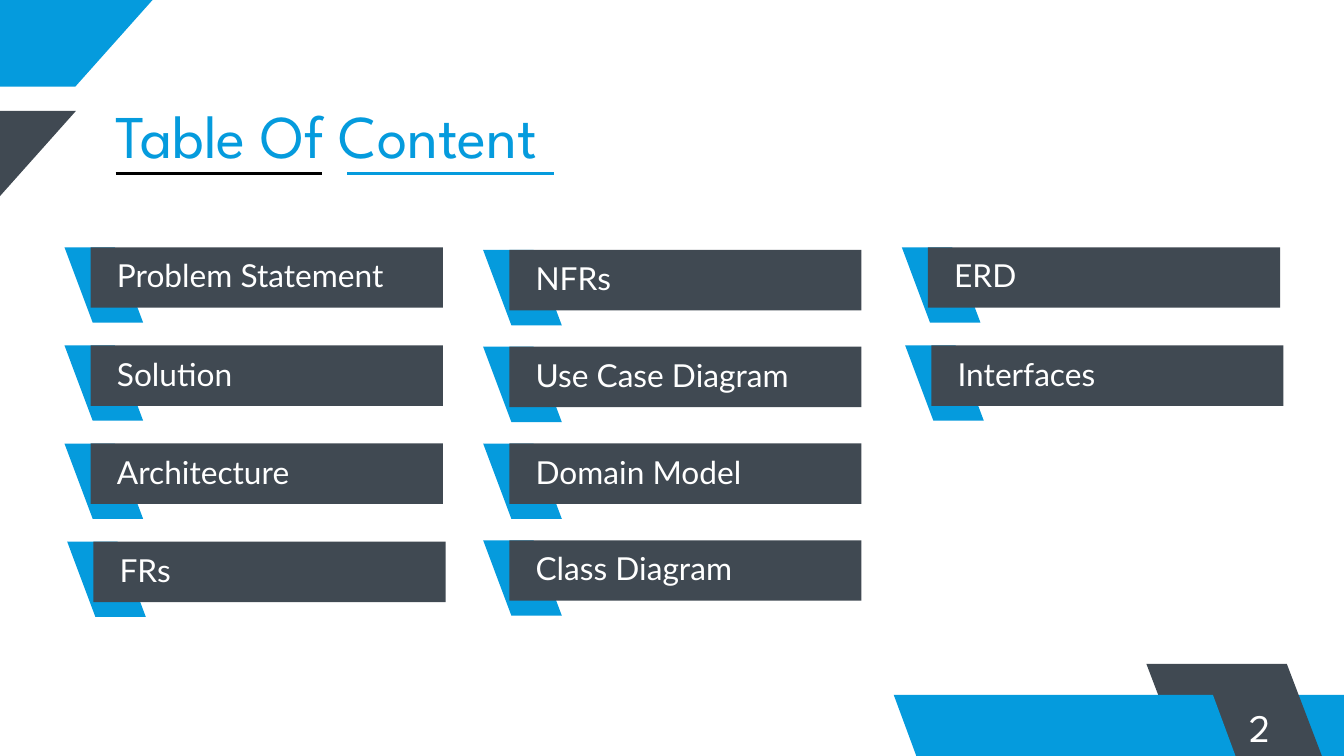
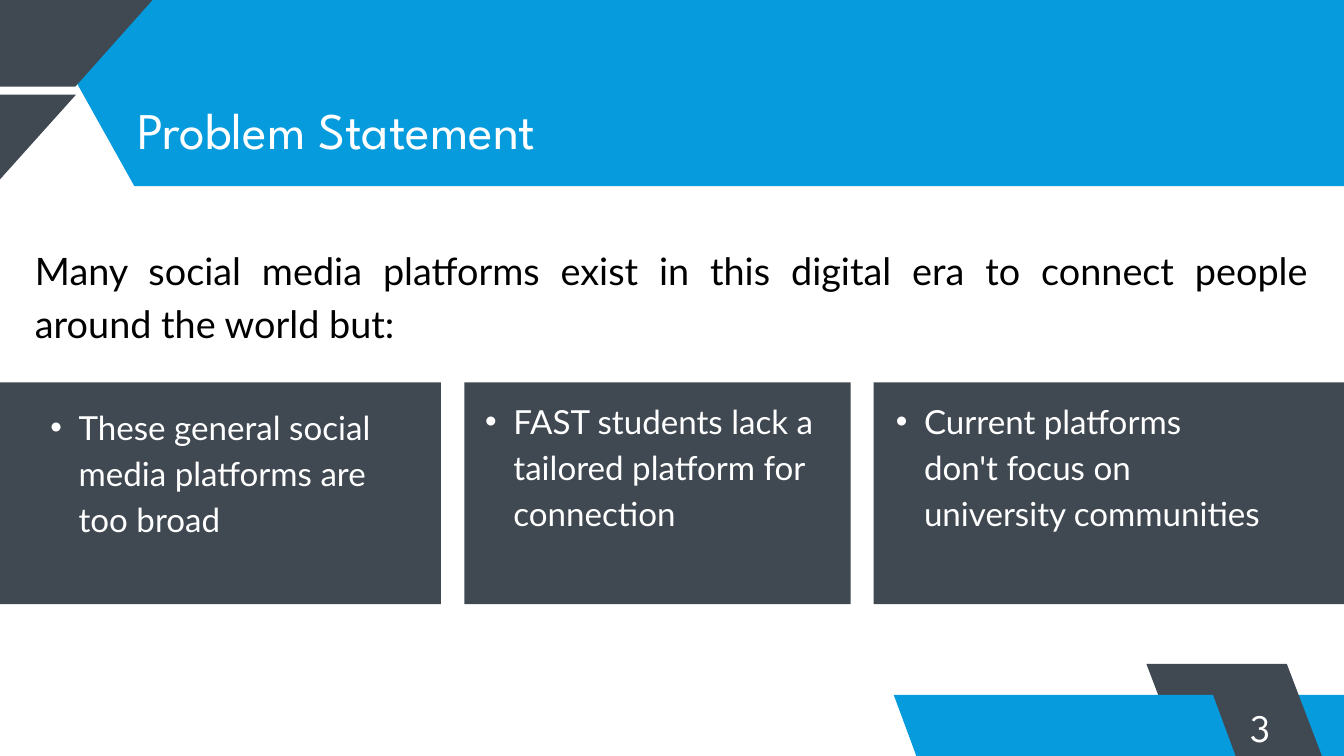
from dataclasses import dataclass

from lxml.etree import SubElement
from pptx import Presentation
from pptx.dml.color import RGBColor
from pptx.enum.shapes import MSO_CONNECTOR as Connector, MSO_SHAPE as Shape
from pptx.enum.text import MSO_AUTO_SIZE as AutoSize, PP_ALIGN as Align
from pptx.oxml.ns import qn
from pptx.util import Inches, Pt


@dataclass(frozen=True)
class Theme:
    blue: str = "059BDD"
    slate: str = "404952"
    white: str = "FFFFFF"
    black: str = "000000"
    heading_font: str = "League Spartan"
    body_font: str = "Lato"
    contents_title: float = 65
    band_title: float = 55
    number: float = 41.7
    lead: float = 40.5
    bullet: float = 35.5
    label: float = 33.9
    rule: float = 3.75
    leading: float = 1.4


THEME = Theme()
COLUMNS, ROWS = 20, 11.25
CELL = Inches(1)

TILE_COLUMNS = [
    (0.96, 3.68, 1.46, ["Problem Statement", "Solution", "Architecture", "FRs"]),
    (7.19, 3.72, 1.44, ["NFRs", "Use Case Diagram", "Domain Model", "Class Diagram"]),
    (13.42, 3.68, 1.46, ["ERD", "Interfaces"]),
]
TILE_NUDGES = {"FRs": 0.04, "Interfaces": 0.05}

PANELS = [
    (-1.49, 8.05, 0.33, 5.96, "These general social media platforms are too broad"),
    (6.91, 5.75, 6.8, 5.87, "FAST students lack a tailored platform for connection"),
    (13, 9.13, 12.91, 5.87, "Current platforms don't focus on university communities"),
]


def grid(*cells):
    return [round(cell * CELL) for cell in cells]


def paint(shape, color):
    shape.shadow.inherit = False
    shape.fill.solid()
    shape.fill.fore_color.rgb = RGBColor.from_string(color)
    shape.line.fill.background()


def add_slant(page, left, top, width, height, lean, color):
    side = width - abs(lean)
    upper = left + max(-lean, 0)
    lower = left + max(lean, 0)
    bottom = top + height
    start, *corners = [
        grid(upper, top),
        grid(upper + side, top),
        grid(lower + side, bottom),
        grid(lower, bottom),
    ]
    outline = page.shapes.build_freeform(*start)
    outline.add_line_segments(corners)
    paint(outline.convert_to_shape(), color)


def add_bar(page, left, top, width, height, color):
    paint(page.shapes.add_shape(Shape.RECTANGLE, *grid(left, top, width, height)), color)


def add_rule(page, left, top, width, color):
    ends = grid(left, top, left + width, top)
    rule = page.shapes.add_connector(Connector.STRAIGHT, *ends)
    rule.line.color.rgb = RGBColor.from_string(color)
    rule.line.width = Pt(THEME.rule)
    SubElement(rule._element.spPr, qn("a:effectLst"))


def add_text(page, left, top, width, height, text, size, color=THEME.white,
             face=THEME.body_font, align=Align.LEFT, bulleted=False):
    box = page.shapes.add_textbox(*grid(left, top, width, height))
    frame = box.text_frame
    frame.margin_left = frame.margin_top = frame.margin_right = frame.margin_bottom = 0
    frame.word_wrap = True
    frame.auto_size = AutoSize.SHAPE_TO_FIT_TEXT
    para = frame.paragraphs[0]
    para.text = text
    para.alignment = align
    para.line_spacing = Pt(round(size * THEME.leading, 1))
    if bulleted:
        add_bullet(para)
    para.font.size = Pt(size)
    para.font.name = face
    para.font.color.rgb = RGBColor.from_string(color)


def add_bullet(para):
    para.level = 1
    settings = para._p.get_or_add_pPr()
    settings.set("marL", str(Inches(0.84)))
    settings.set("indent", str(Inches(-0.42)))
    SubElement(settings, qn("a:buFont"), typeface="Arial")
    SubElement(settings, qn("a:buChar"), char="•")


def add_top_corner(page, color):
    add_slant(page, -1.57, 0, 3.84, 1.29, -1.15, color)


def add_footer(page, number):
    add_slant(page, 17.93, 10.34, 4.53, 1.71, 0.74, THEME.blue)
    add_slant(page, 17.06, 9.88, 2.73, 1.68, 0.64, THEME.slate)
    add_slant(page, 13.3, 10.34, 5.53, 2.11, 0.78, THEME.blue)
    add_text(page, 18.23, 10.35, 1.05, 0.78, str(number), THEME.number,
             face=THEME.heading_font, align=Align.CENTER)


def add_tile(page, left, top, label):
    add_slant(page, left, top, 1.17, 1.12, 0.42, THEME.blue)
    add_bar(page, left + 0.39, top, 5.24, 0.9, THEME.slate)
    add_text(page, left + 0.78, top + 0.04, 4.85, 0.63, label, THEME.label)


def add_panel(page, left, width, text_left, text_top, text):
    add_bar(page, left, 5.69, width, 3.3, THEME.slate)
    add_text(page, text_left, text_top, 5.85, 2.04, text, THEME.bullet, bulleted=True)


def build_contents(page):
    add_top_corner(page, THEME.blue)
    add_slant(page, -2.71, 1.65, 3.84, 1.29, -1.15, THEME.slate)
    add_text(page, 1.72, 1.27, 8.73, 1.23, "Table Of Content", THEME.contents_title,
             THEME.blue, THEME.heading_font)
    for left, color in ((1.72, THEME.black), (5.17, THEME.blue)):
        add_rule(page, left, 2.58, 3.07, color)
    for left, top, pitch, labels in TILE_COLUMNS:
        for row, label in enumerate(labels):
            add_tile(page, left + TILE_NUDGES.get(label, 0), top + row * pitch, label)
    add_footer(page, 2)


def build_problem(page):
    add_slant(page, 0.33, -0.22, 22.13, 2.99, 1.67, THEME.blue)
    add_top_corner(page, THEME.slate)
    add_slant(page, -2.92, 1.41, 4.05, 1.36, -1.22, THEME.slate)
    add_text(page, 2.04, 1.31, 8.28, 1.01, "Problem Statement", THEME.band_title,
             face=THEME.heading_font)
    add_text(page, 0.52, 3.57, 18.96, 1.54,
             "Many social media platforms exist in this digital era to connect people "
             "around the world but:", THEME.lead, THEME.black, align=Align.JUSTIFY)
    for panel in PANELS:
        add_panel(page, *panel)
    add_footer(page, 3)


def main():
    deck = Presentation()
    deck.slide_width, deck.slide_height = grid(COLUMNS, ROWS)
    blank = deck.slide_layouts[6]
    for build in (build_contents, build_problem):
        build(deck.slides.add_slide(blank))
    deck.save("out.pptx")


if __name__ == "__main__":
    main()
